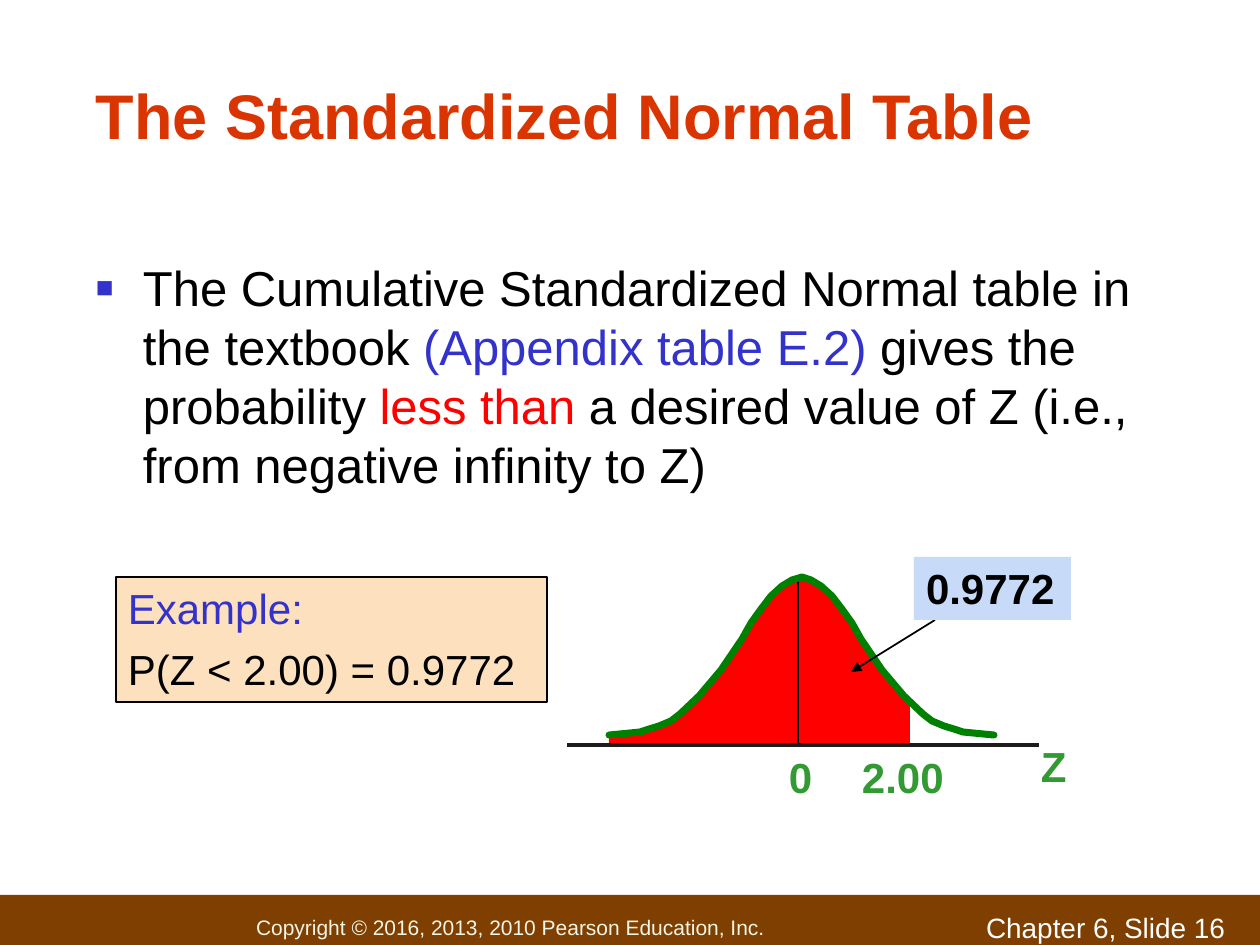
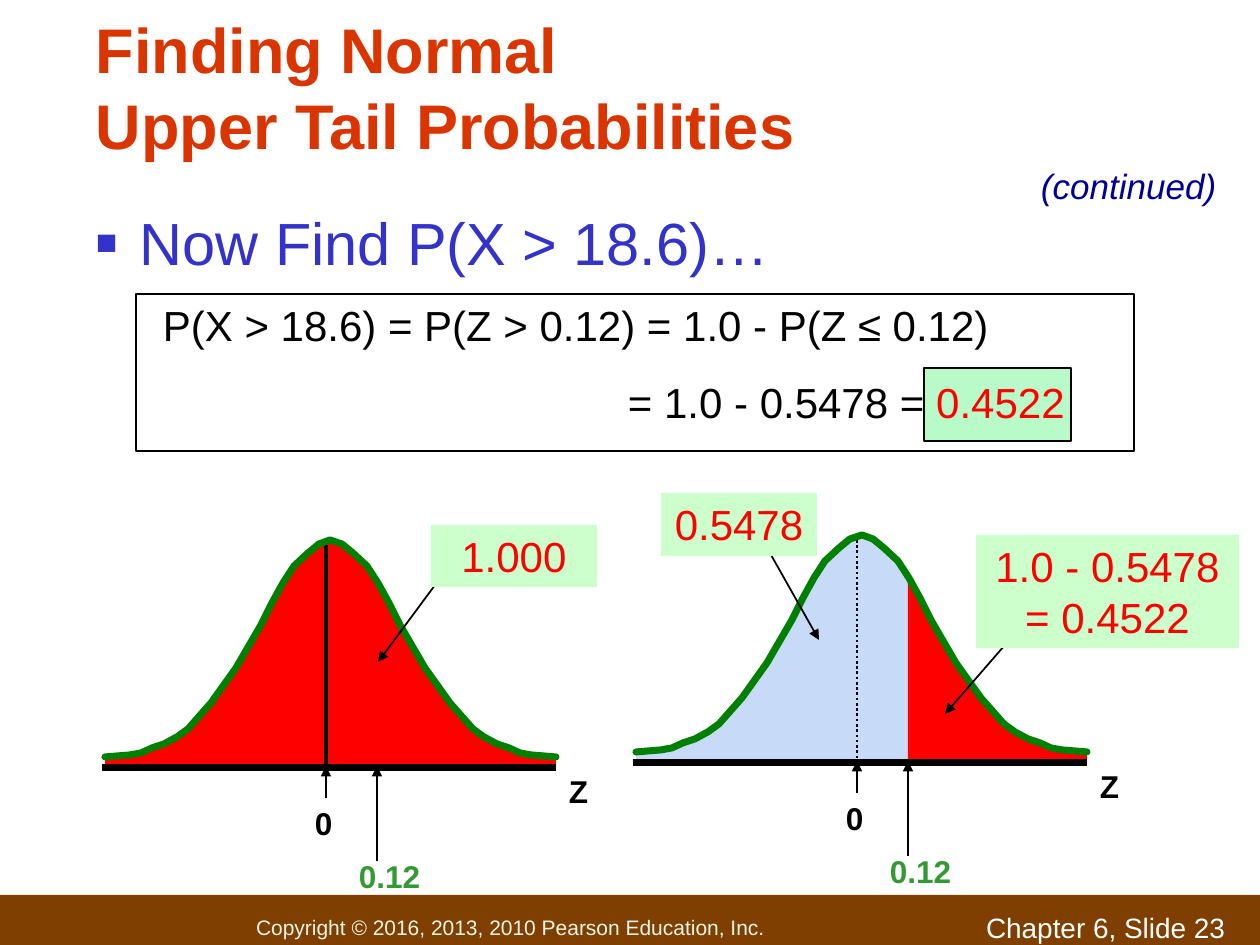
from itertools import pairwise

from lxml.etree import SubElement
from pptx import Presentation
from pptx.dml.color import RGBColor
from pptx.enum.dml import MSO_LINE
from pptx.enum.shapes import MSO_CONNECTOR, MSO_SHAPE
from pptx.enum.text import MSO_ANCHOR, PP_ALIGN
from pptx.oxml.ns import qn
from pptx.util import Pt

PX = 914400 / 126
FONT = "Arial"

BLACK = RGBColor(0x00, 0x00, 0x00)
WHITE = RGBColor(0xFF, 0xFF, 0xFF)
RED = RGBColor(0xFF, 0x00, 0x00)
TITLE_RED = RGBColor(0xDA, 0x34, 0x00)
BLUE = RGBColor(0x33, 0x33, 0xCC)
NAVY = RGBColor(0x00, 0x00, 0x99)
LABEL_GREEN = RGBColor(0x33, 0x99, 0x33)
CURVE_GREEN = RGBColor(0x00, 0x80, 0x00)
MINT = RGBColor(0xCC, 0xFF, 0xCC)
ANSWER_GREEN = RGBColor(0xB8, 0xFA, 0xC8)
PALE_BLUE = RGBColor(0xC7, 0xDA, 0xF7)
PEACH = RGBColor(0xFD, 0xE0, 0xBD)
AXIS_GREY = RGBColor(0x1C, 0x1C, 0x1C)
BROWN = RGBColor(0x7E, 0x3F, 0x00)
CREAM = RGBColor(0xF3, 0xF5, 0xE7)

# Left half of the bell: percent of half width, percent of height below the peak
HALF_BELL = [(0, 100), (11, 99), (16, 98), (21, 96), (26, 94), (32, 91),
             (37, 87), (47, 75), (58, 59), (69, 39), (74, 29), (79, 20),
             (84, 12), (90, 6), (95, 2), (100, 0)]


def emu(*lengths):
    return [round(length * PX) for length in lengths]


def write(frame, paras, size=24, color=BLACK, bold=False, italic=False,
          align=PP_ALIGN.LEFT, anchor=MSO_ANCHOR.TOP, space=0, indents=(),
          bullet=False):
    """Fill a text frame; each para is a string or a list of (text, colour)."""
    frame.word_wrap = True
    frame.vertical_anchor = anchor
    frame.margin_left, frame.margin_right = emu(12, 12)
    frame.margin_top, frame.margin_bottom = emu(6, 6)
    for index, spans in enumerate(paras):
        para = frame.paragraphs[0] if index == 0 else frame.add_paragraph()
        if indents:
            para._p.get_or_add_pPr().set("marL", str(*emu(indents[index])))
        if bullet:
            add_bullet(para, indents[index])
        para.alignment = align
        if index:
            para.space_before = Pt(space)
        for text, tint in [(spans, color)] if isinstance(spans, str) else spans:
            span = para.add_run()
            span.text = text
            font = span.font
            font.name, font.size = FONT, Pt(size)
            font.bold, font.italic = bold, italic
            font.color.rgb = tint


def add_bullet(para, hang):
    props = para._p.get_or_add_pPr()
    props.set("indent", str(*emu(-hang)))
    tint = SubElement(props, qn("a:buClr"))
    SubElement(tint, qn("a:srgbClr"), val=str(BLUE))
    SubElement(props, qn("a:buSzPct"), val="60000")
    SubElement(props, qn("a:buFont"), typeface=FONT)
    SubElement(props, qn("a:buChar"), char="■")


def add_text(page, box, *paras, **text_format):
    write(page.shapes.add_textbox(*emu(*box)).text_frame, paras, **text_format)


def paint(shape, fill=None, line=None, weight=1):
    shape.shadow.inherit = False
    if fill is None:
        shape.fill.background()
    else:
        shape.fill.solid()
        shape.fill.fore_color.rgb = fill
    if line is None:
        shape.line.fill.background()
    else:
        shape.line.color.rgb = line
        shape.line.width = Pt(weight)


def add_panel(page, box, *paras, fill=None, line=None, weight=1, **text_format):
    panel = page.shapes.add_shape(MSO_SHAPE.RECTANGLE, *emu(*box))
    paint(panel, fill, line, weight)
    if paras:
        write(panel.text_frame, paras, **text_format)


def add_line(page, start, end, color=BLACK, weight=1, arrow=False, dotted=False):
    line = page.shapes.add_connector(
        MSO_CONNECTOR.STRAIGHT, *emu(*start), *emu(*end))
    line.line.color.rgb = color
    line.line.width = Pt(weight)
    if dotted:
        line.line.dash_style = MSO_LINE.ROUND_DOT
    props = line._element.spPr
    if arrow:
        SubElement(props.find(qn("a:ln")), qn("a:tailEnd"), type="triangle")
    SubElement(props, qn("a:effectLst"))


def add_outline(page, points, close):
    builder = page.shapes.build_freeform(*points[0], scale=PX)
    builder.add_line_segments(points[1:], close=close)
    return builder.convert_to_shape()


def bell_points(box):
    left, top, width, height = box
    whole = HALF_BELL + [(200 - x, y) for x, y in HALF_BELL[-2::-1]]
    return [(left + x * width / 200, top + y * height / 100) for x, y in whole]


def shade_bell(page, box, start, end, base, fill):
    """Fill the area under the bell from start to end, down to base."""
    points = bell_points(box)

    def height_at(x):
        for (x1, y1), (x2, y2) in pairwise(points):
            if x1 <= x <= x2:
                return y1 + (y2 - y1) * (x - x1) / (x2 - x1)

    inside = [point for point in points if start < point[0] < end]
    area = [(start, base), (start, height_at(start)), *inside,
            (end, height_at(end)), (end, base)]
    paint(add_outline(page, area, close=True), fill)


def draw_bell(page, box):
    curve = add_outline(page, bell_points(box), close=False)
    paint(curve, line=CURVE_GREEN, weight=4)
    curve._element.spPr.find(qn("a:ln")).set("cap", "rnd")


def add_callout(page, box, text, start, tip, fill=MINT, **text_format):
    add_line(page, start, tip, arrow=True)
    add_panel(page, box, text, fill=fill, **text_format)


def add_footer(page, number):
    add_panel(page, (0, 895, 1260, 50), fill=BROWN)
    add_text(page, (244, 909, 600, 36),
             "Copyright © 2016, 2013, 2010 Pearson Education, Inc.",
             size=12, color=CREAM)
    add_text(page, (974, 905, 286, 40), f"Chapter 6, Slide {number}",
             size=16, color=WHITE)


def add_page(deck, number, title_box, *title_lines):
    page = deck.slides.add_slide(deck.slide_layouts[6])
    add_footer(page, number)
    add_text(page, title_box, *title_lines, size=36, color=TITLE_RED,
             bold=True, anchor=MSO_ANCHOR.BOTTOM)
    return page


def add_cumulative_bell(page, left, top):
    bell = (left, top, 385, 158)
    base, center, cut = top + 168, left + 189, left + 301
    shade_bell(page, bell, left, cut, base, RED)
    add_line(page, (center, top), (center, base))
    draw_bell(page, bell)
    add_line(page, (left - 42, base), (left + 430, base), AXIS_GREY, 2)
    for text, x, y, width in (("0", 168, 169, 66), ("2.00", 241, 169, 136),
                              ("Z", 420, 158, 50)):
        add_text(page, (left + x, top + y, width, 63), text,
                 color=LABEL_GREEN, bold=True)
    add_callout(page, (left + 305, top - 20, 157, 63), "0.9772",
                (left + 326, top + 43), (left + 242, top + 95),
                fill=PALE_BLUE, bold=True)


def add_tail_bell(page, left, top, left_fill, center_weight, dotted):
    """Draw a bell split at 0.12, its right part red, with marked axis."""
    bell = (left, top, 451, 217)
    base, center, cut = top + 228, left + 221, left + 272
    shade_bell(page, bell, left, cut, base, left_fill)
    shade_bell(page, bell, cut, left + 451, base, RED)
    add_line(page, (center, top + 5), (center, base),
             weight=center_weight, dotted=dotted)
    draw_bell(page, bell)
    add_line(page, (left - 3, base), (left + 451, base), weight=4)
    for x, length in ((center, 32), (cut, 95)):
        add_line(page, (x, base - 2 + length), (x, base - 2), arrow=True)
    for text, x, y, color in (("Z", 452, 226, BLACK), ("0", 198, 258, BLACK),
                              ("0.12", 242, 311, LABEL_GREEN)):
        add_text(page, (left + x, top + y, 90, 50), text, size=18,
                 color=color, bold=True)


def add_formula(page, left, top):
    add_panel(page, (left, top, 998, 157), line=BLACK, weight=1.5)
    add_panel(page, (left + 788, top + 74, 147, 73), fill=ANSWER_GREEN,
              line=BLACK, weight=1.5)
    add_text(page, (left, top, 998, 140),
             "P(X > 18.6) = P(Z > 0.12) = 1.0 - P(Z ≤ 0.12)",
             [("= 1.0 - 0.5478 = ", BLACK), ("0.4522", RED)],
             space=15, indents=(15, 480))


def build_table_page(deck):
    page = add_page(deck, 16, (84, 42, 1113, 116),
                    "The Standardized Normal Table")
    add_text(page, (84, 252, 1081, 301), [
        ("The Cumulative Standardized Normal table in the textbook ", BLACK),
        ("(Appendix table E.2)", BLUE),
        (" gives the probability ", BLACK),
        ("less than", RED),
        (" a desired value of Z (i.e., from negative infinity to Z)", BLACK),
    ], size=28, indents=(47,), bullet=True)
    add_panel(page, (116, 577, 431, 125), [("Example:", BLUE)],
              "P(Z < 2.00) = 0.9772", fill=PEACH, line=BLACK, weight=0.75,
              space=6)
    add_cumulative_bell(page, 609, 577)


def build_upper_tail_page(deck):
    page = add_page(deck, 23, (84, 32, 1071, 136),
                    "Finding Normal", "Upper Tail Probabilities")
    add_text(page, (1029, 158, 210, 55), "(continued)", size=20, color=NAVY,
             italic=True)
    add_text(page, (84, 200, 725, 94), "Now Find P(X > 18.6)…", size=34,
             color=BLUE, indents=(44,), bullet=True)
    add_formula(page, 136, 294)
    add_tail_bell(page, 105, 540, RED, 2.5, dotted=False)
    add_tail_bell(page, 636, 535, PALE_BLUE, 1.5, dotted=True)
    for box, text, start, tip in (
            ((431, 525, 166, 62), "1.000", (441, 577), (378, 662)),
            ((661, 493, 156, 63), "0.5478", (766, 546), (819, 640)),
            ((976, 535, 263, 113), "1.0 - 0.5478 = 0.4522",
             (1018, 630), (945, 714))):
        add_callout(page, box, text, start, tip, color=RED,
                    align=PP_ALIGN.CENTER)


def main():
    deck = Presentation()
    deck.slide_width, deck.slide_height = emu(1260, 945)
    build_table_page(deck)
    build_upper_tail_page(deck)
    deck.save("out.pptx")


if __name__ == "__main__":
    main()
